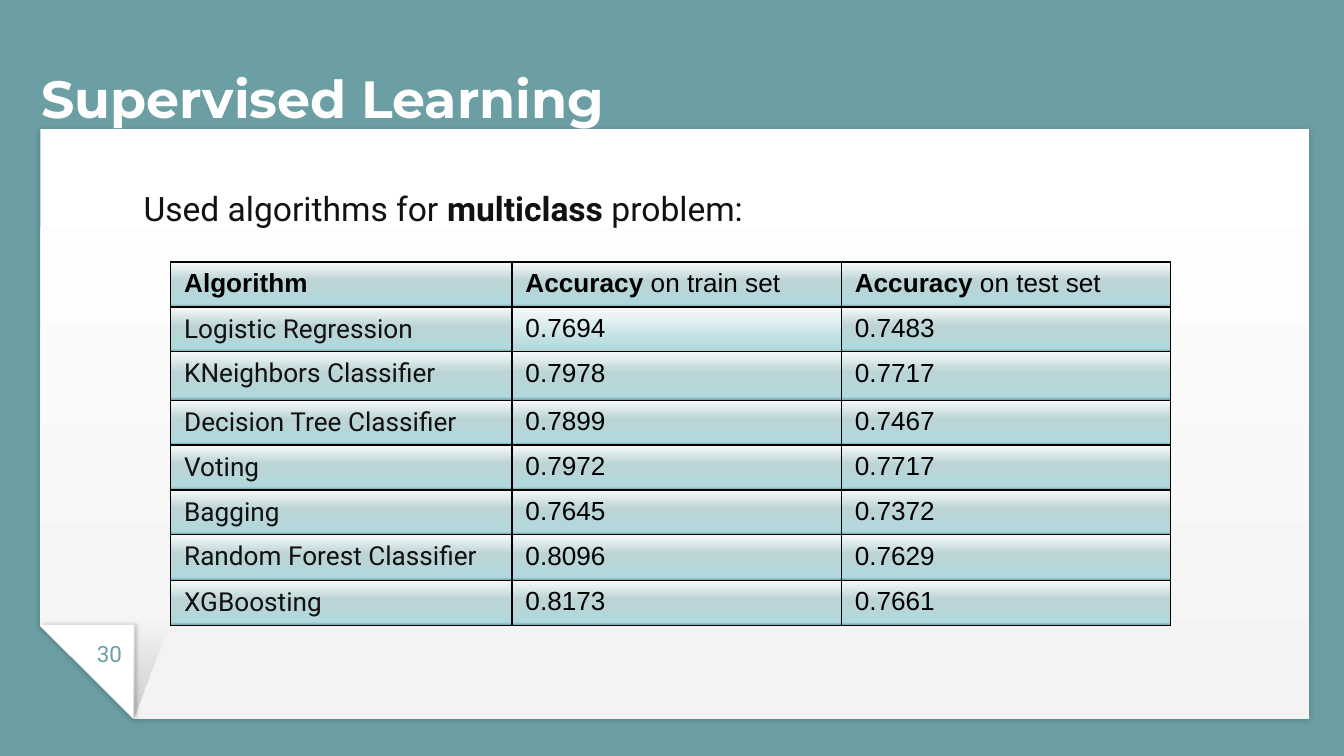
from pptx import Presentation
from pptx.dml.color import RGBColor
from pptx.enum.shapes import MSO_SHAPE
from pptx.enum.text import MSO_ANCHOR, MSO_AUTO_SIZE, PP_ALIGN
from pptx.oxml.ns import qn
from pptx.util import Inches, Pt
from lxml import etree

SNIPPED = MSO_SHAPE.SNIP_1_RECTANGLE
TRIANGLE = MSO_SHAPE.RIGHT_TRIANGLE
BOTTOM = MSO_ANCHOR.BOTTOM
CENTER = PP_ALIGN.CENTER
LEFT = PP_ALIGN.LEFT
FIT_SHAPE = MSO_AUTO_SIZE.SHAPE_TO_FIT_TEXT

TEAL = RGBColor(0x6B, 0x9F, 0xA4)
WHITE = RGBColor(0xFF, 0xFF, 0xFF)
PALE_GRAY = RGBColor(0xF3, 0xF3, 0xF3)
BLACK = RGBColor(0, 0, 0)
INK = RGBColor(0x11, 0x11, 0x11)
ICE = RGBColor(0xF8, 0xFA, 0xFA)
MIST = RGBColor(0xBC, 0xD4, 0xD6)
AQUA = RGBColor(0xB1, 0xD9, 0xDD)

CELL_STOPS = [(0, ICE), (42, MIST), (93, AQUA), (100, TEAL)]
HIGHLIGHT_STOPS = [(0, ICE), (93, AQUA), (100, MIST), (100, TEAL)]
HIGHLIGHTED = (1, 1)

COLUMN_WIDTHS = [2.54, 2.45, 2.45]
ROW_HEIGHTS = [0.3, 0.33, 0.36, 0.33, 0.33, 0.33, 0.34, 0.32]
HEADER = [("Algorithm", ""), ("Accuracy", " on train set"), ("Accuracy", " on test set")]
RESULTS = [
    ("Logistic Regression", "0.7694", "0.7483"),
    ("KNeighbors Classifier", "0.7978", "0.7717"),
    ("Decision Tree Classifier", "0.7899", "0.7467"),
    ("Voting", "0.7972", "0.7717"),
    ("Bagging", "0.7645", "0.7372"),
    ("Random Forest Classifier", "0.8096", "0.7629"),
    ("XGBoosting", "0.8173", "0.7661"),
]


def add_color(parent, color, alpha=100):
    node = etree.SubElement(parent, qn("a:srgbClr"), val=str(color))
    if alpha < 100:
        etree.SubElement(node, qn("a:alpha"), val=str(alpha * 1000))


def add_gradient(properties, stops, angle):
    gradient = etree.SubElement(properties, qn("a:gradFill"), rotWithShape="1")
    stop_list = etree.SubElement(gradient, qn("a:gsLst"))
    for position, color, *alpha in stops:
        stop = etree.SubElement(stop_list, qn("a:gs"), pos=str(position * 1000))
        add_color(stop, color, *alpha)
    etree.SubElement(gradient, qn("a:lin"), ang=str(angle * 60000), scaled="0")


def add_shadow(shape, blur, distance, direction):
    effects = shape.element.spPr.find(qn("a:effectLst"))
    shadow = etree.SubElement(
        effects, qn("a:outerShdw"), blurRad=str(Pt(blur)), dist=str(Pt(distance)),
        dir=str(direction * 60000), algn="bl", rotWithShape="0")
    add_color(shadow, BLACK, 20)


def add_turned_shape(slide, kind, box, stops=None, angle=0):
    shape = slide.shapes.add_shape(kind, *map(Inches, box))
    shape.rotation = 180
    if stops:
        add_gradient(shape.element.spPr, stops, angle)
    else:
        shape.fill.solid()
        shape.fill.fore_color.rgb = WHITE
    shape.line.fill.background()
    shape.shadow.inherit = False
    return shape


def add_run(paragraph, text, size, font_name, color, bold=False):
    run = paragraph.add_run()
    run.text = text
    run.font.size = Pt(size)
    run.font.name = font_name
    run.font.color.rgb = color
    run.font.bold = bold


def add_paper(slide, left, top, width, height):
    fold = 0.7
    fold_top = top + height - fold
    sheet = add_turned_shape(slide, SNIPPED, (left, top, width, height),
                             [(0, WHITE), (100, PALE_GRAY)], 270)
    sheet.adjustments[0] = 0.158
    add_shadow(sheet, 3.4, 0.8, 90)
    corner = add_turned_shape(slide, TRIANGLE, (left, fold_top, fold, fold))
    add_shadow(corner, 2.2, 0.8, 0)
    crease = add_turned_shape(slide, TRIANGLE, (left + fold - 0.01, fold_top, 0.26, fold),
                              [(0, BLACK, 17), (100, BLACK, 0)], 90)
    crease.element.spPr.xfrm.set("flipH", "1")

    number_box = slide.shapes.add_textbox(
        Inches(left + 0.26), Inches(fold_top + 0.01), Inches(0.51), Inches(0.34))
    frame = number_box.text_frame
    frame.word_wrap = True
    frame.margin_left = frame.margin_right = Inches(0.1)
    frame.margin_top = frame.margin_bottom = Inches(0.1)
    frame.paragraphs[0].alignment = CENTER
    add_run(frame.paragraphs[0], "30", 12, "Roboto", TEAL)


def place_title(slide, left, top, width, height):
    title = slide.shapes.title
    title.left, title.top = Inches(left), Inches(top)
    title.width, title.height = Inches(width), Inches(height)
    frame = title.text_frame
    frame.margin_left = frame.margin_right = 0
    frame.margin_top = frame.margin_bottom = 0
    frame.vertical_anchor = BOTTOM
    frame.paragraphs[0].alignment = LEFT
    add_run(frame.paragraphs[0], "Supervised Learning", 28, "Montserrat", WHITE, True)
    title.element.getparent().append(title.element)


def add_intro(slide, left, top, width, height):
    intro = slide.shapes.add_textbox(*map(Inches, (left, top, width, height)))
    intro.text_frame.word_wrap = False
    intro.text_frame.auto_size = FIT_SHAPE
    paragraph = intro.text_frame.paragraphs[0]
    for text, bold in [("Used algorithms for ", False), ("multiclass", True), (" problem:", False)]:
        add_run(paragraph, text, 18, "Roboto", INK, bold)


def style_cell(cell, stops):
    properties = cell._tc.get_or_add_tcPr()
    for side in ("a:lnL", "a:lnR", "a:lnT", "a:lnB"):
        border = etree.SubElement(properties, qn(side), w=str(Pt(0.75)))
        add_color(etree.SubElement(border, qn("a:solidFill")), BLACK)
    add_gradient(properties, stops, 90)


def add_results_table(slide, left, top, width, height):
    table = slide.shapes.add_table(
        len(ROW_HEIGHTS), len(COLUMN_WIDTHS), *map(Inches, (left, top, width, height))).table
    for column, column_width in zip(table.columns, COLUMN_WIDTHS):
        column.width = Inches(column_width)
    for row, row_height in zip(table.rows, ROW_HEIGHTS):
        row.height = Inches(row_height)
    for r, values in enumerate([HEADER, *RESULTS]):
        for c, value in enumerate(values):
            cell = table.cell(r, c)
            paragraph = cell.text_frame.paragraphs[0]
            if r == 0:
                measure, data_set = value
                add_run(paragraph, measure, 14, "Arial", BLACK, True)
                if data_set:
                    add_run(paragraph, data_set, 14, "Arial", BLACK)
            else:
                font_name, color = ("Roboto", INK) if c == 0 else ("Arial", BLACK)
                add_run(paragraph, value, 14, font_name, color)
            style_cell(cell, HIGHLIGHT_STOPS if (r, c) == HIGHLIGHTED else CELL_STOPS)


def main():
    presentation = Presentation()
    presentation.slide_width = Inches(10)
    presentation.slide_height = presentation.slide_width * 9 // 16
    slide = presentation.slides.add_slide(presentation.slide_layouts[5])
    slide.background.fill.solid()
    slide.background.fill.fore_color.rgb = TEAL
    add_paper(slide, 0.3, 0.96, 9.44, 4.39)
    place_title(slide, 0.31, 0.39, 9.19, 0.57)
    add_intro(slide, 0.97, 1.35, 4.84, 0.4)
    add_results_table(slide, 1.27, 1.95, 7.44, 2.71)
    presentation.save("out.pptx")


if __name__ == "__main__":
    main()
